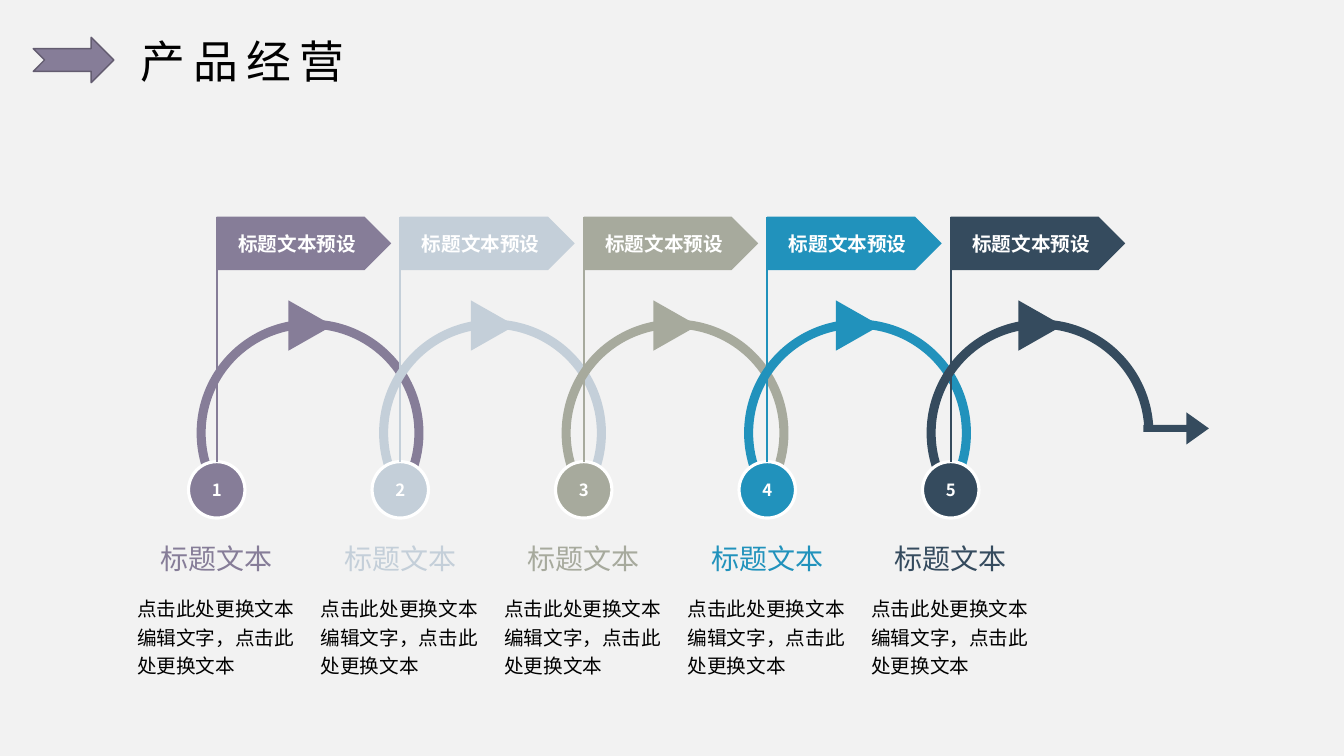
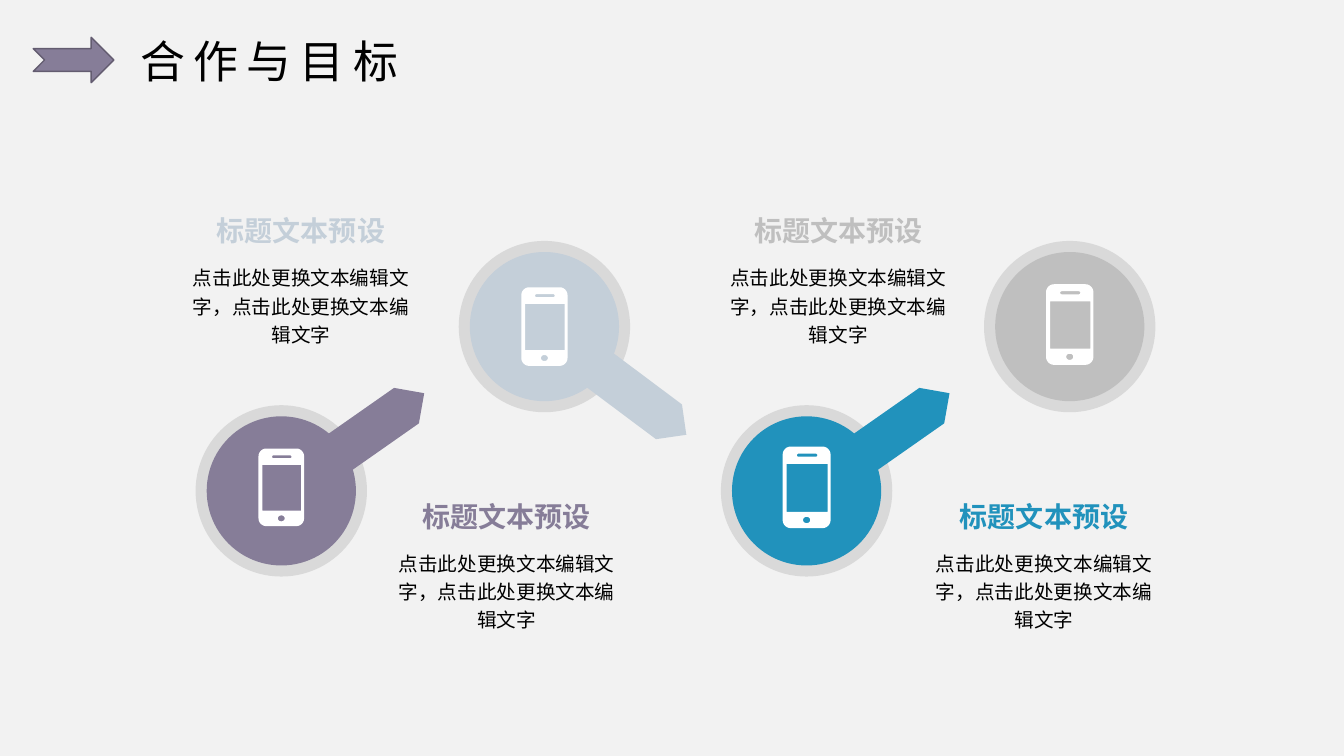
from dataclasses import dataclass
from math import cos, pi, sin

from lxml.etree import SubElement
from pptx import Presentation
from pptx.dml.color import RGBColor
from pptx.enum.shapes import MSO_CONNECTOR, MSO_SHAPE
from pptx.enum.text import MSO_ANCHOR, MSO_AUTO_SIZE, PP_ALIGN
from pptx.oxml.ns import qn
from pptx.util import Inches, Pt


@dataclass(frozen=True)
class Theme:
    font: str = "Noto Sans CJK SC"
    background: str = "F2F2F2"
    text: str = "000000"
    white: str = "FFFFFF"
    purple: str = "867D98"
    purple_edge: str = "635C70"
    pale_blue: str = "C4CFD9"
    olive: str = "A7AA9D"
    blue: str = "2192BC"
    navy: str = "354B5E"
    grey: str = "BFBFBF"
    ring: str = "D9D9D9"
    title_size: int = 32
    heading_size: int = 20
    body_size: int = 14
    number_size: int = 12


THEME = Theme()


def write_text(frame, text, size=THEME.body_size, color=THEME.text, bold=False,
               align=PP_ALIGN.CENTER, anchor=MSO_ANCHOR.MIDDLE, wrap=True,
               line_spacing=None, letter_spacing=0, inset=None):
    """Fill a text frame with one formatted paragraph; letter_spacing is in points."""
    frame.word_wrap = wrap
    frame.auto_size = MSO_AUTO_SIZE.NONE
    frame.vertical_anchor = anchor
    if inset is not None:
        frame.margin_left = frame.margin_right = Inches(inset)
        frame.margin_top = frame.margin_bottom = Inches(inset)
    para = frame.paragraphs[0]
    para.alignment = align
    if line_spacing:
        para.line_spacing = line_spacing
    span = para.add_run()
    span.text = text
    span.font.size = Pt(size)
    span.font.bold = bold
    span.font.color.rgb = RGBColor.from_string(color)
    span.font.name = THEME.font
    properties = span.font._element
    SubElement(properties, qn("a:ea")).set("typeface", THEME.font)
    if letter_spacing:
        properties.set("spc", str(letter_spacing * 100))


def rounded_outline(left, top, width, height, radius, steps=6):
    """Return the corner points of a rounded rectangle, clockwise from the right."""
    if not radius:
        right, bottom = left + width, top + height
        return [(right, bottom), (left, bottom), (left, top), (right, top)]
    centers = [(x, y) for x, y in (
        (left + width - radius, top + height - radius),
        (left + radius, top + height - radius),
        (left + radius, top + radius),
        (left + width - radius, top + radius))]
    points = []
    for corner, (x, y) in enumerate(centers):
        for step in range(steps + 1):
            angle = (corner + step / steps) * pi / 2
            points.append((x + radius * cos(angle), y + radius * sin(angle)))
    return points


class SlideBuilder:
    PHONE_WIDTH, PHONE_HEIGHT = 0.47, 0.8
    PHONE_PARTS = (
        (0, 0, 0.47, 0.8, 0.08),
        (0.04, 0.17, 0.4, 0.47, 0),
        (0.14, 0.07, 0.2, 0.03, 0.015),
        (0.2, 0.69, 0.07, 0.06, 0.03),
    )

    def __init__(self):
        self.deck = Presentation()
        self.deck.slide_width = Inches(13.33)
        self.deck.slide_height = Inches(7.5)
        fill = self.deck.slide_master.background.fill
        fill.solid()
        fill.fore_color.rgb = RGBColor.from_string(THEME.background)
        self.page = None

    def new_page(self, title):
        self.page = self.deck.slides.add_slide(self.deck.slide_layouts[5])
        self.shape(MSO_SHAPE.NOTCHED_RIGHT_ARROW, 0.33, 0.37, 0.8, 0.45,
                   THEME.purple, line=THEME.purple_edge, line_width=1)
        box = self.page.shapes.title
        box.left, box.top = Inches(1.29), Inches(0.28)
        box.width, box.height = Inches(3.97), Inches(0.64)
        write_text(box.text_frame, title, size=THEME.title_size, letter_spacing=6,
                   align=PP_ALIGN.LEFT, anchor=MSO_ANCHOR.TOP)

    def paint(self, shape, fill, line=None, line_width=1):
        shape.shadow.inherit = False
        shape.fill.solid()
        shape.fill.fore_color.rgb = RGBColor.from_string(fill)
        if line:
            shape.line.color.rgb = RGBColor.from_string(line)
            shape.line.width = Pt(line_width)
        else:
            shape.line.fill.background()

    def shape(self, kind, left, top, width, height, fill, line=None, line_width=1,
              rotation=0, adjustments=()):
        shape = self.page.shapes.add_shape(
            kind, Inches(left), Inches(top), Inches(width), Inches(height))
        self.paint(shape, fill, line, line_width)
        shape.rotation = rotation
        for index, value in enumerate(adjustments):
            shape.adjustments[index] = value
        return shape

    def vertical_line(self, x, top, bottom, color):
        line = self.page.shapes.add_connector(
            MSO_CONNECTOR.STRAIGHT, Inches(x), Inches(bottom), Inches(x), Inches(top))
        line.line.color.rgb = RGBColor.from_string(color)
        line.line.width = Pt(1.5)
        SubElement(line._element.spPr, qn("a:effectLst"))

    def text(self, text, left, top, width, height, **text_format):
        box = self.page.shapes.add_textbox(
            Inches(left), Inches(top), Inches(width), Inches(height))
        write_text(box.text_frame, text, inset=0, **text_format)

    def disc(self, center_x, center_y, diameter, fill, **style):
        return self.shape(MSO_SHAPE.OVAL, center_x - diameter / 2,
                          center_y - diameter / 2, diameter, diameter, fill, **style)

    def loop(self, left, color, end_angle):
        """Draw an open ring, ending at end_angle degrees, with an arrowhead on top."""
        degree = 0.6
        self.shape(MSO_SHAPE.BLOCK_ARC, left, 3.17, 2.25, 2.25, color,
                   adjustments=(150.6 * degree, end_angle * degree, 0.04))
        self.shape(MSO_SHAPE.ISOSCELES_TRIANGLE, left + 0.88, 3.01, 0.5, 0.44, color,
                   rotation=90)

    def flag(self, x, label, color):
        self.vertical_line(x, 2.15, 4.58, color)
        plate = self.shape(MSO_SHAPE.PENTAGON, x, 2.15, 1.73, 0.53, color)
        write_text(plate.text_frame, label, color=THEME.white, bold=True, wrap=False)

    def phone(self, center_x, top, height):
        """Draw a phone whose screen, speaker and button are cut out."""
        scale = height / self.PHONE_HEIGHT
        left = center_x - self.PHONE_WIDTH * scale / 2
        builder = None
        for part in self.PHONE_PARTS:
            points = [(Inches(left + x * scale), Inches(top + y * scale))
                      for x, y in rounded_outline(*part)]
            if builder is None:
                builder = self.page.shapes.build_freeform(*points[0])
            else:
                builder.move_to(*points[0])
            builder.add_line_segments(points[1:], close=True)
        self.paint(builder.convert_to_shape(), THEME.white)


def build_operations(slides):
    slides.new_page("产品经营")
    colors = (THEME.purple, THEME.pale_blue, THEME.olive, THEME.blue, THEME.navy)
    for index, color in enumerate(colors):
        is_last = index == len(colors) - 1
        slides.loop(1.95 + 1.81 * index, color, end_angle=357.3 if is_last else 29)
    slides.shape(MSO_SHAPE.RIGHT_ARROW, 11.34, 4.09, 0.65, 0.32, THEME.navy,
                 adjustments=(0.22, 0.7))

    for index, color in enumerate(colors):
        center_x = 2.15 + 1.82 * index
        text_left = center_x - 0.79
        badge = slides.disc(center_x, 4.86, 0.56, color,
                            line=THEME.white, line_width=2.25)
        write_text(badge.text_frame, str(index + 1), size=THEME.number_size,
                   color=THEME.white, bold=True, wrap=False)
        slides.flag(center_x, "标题文本预设", color)
        slides.text("标题文本", text_left, 5.31, 1.58, 0.46,
                    size=THEME.heading_size, color=color)
        slides.text("点击此处更换文本编辑文字，点击此处更换文本", text_left, 5.92, 1.58, 0.76,
                    align=PP_ALIGN.LEFT, line_spacing=1.2)


def build_goals(slides):
    slides.new_page("合作与目标")
    upper, lower = 3.24, 4.87
    rising, falling = (-0.01, 325), (1.37, 36.8)
    # color, disc center, handle (offset and turn), phone (top and height), caption
    goals = (
        (THEME.purple, (2.79, lower), rising, (4.45, 0.77), (3.92, 4.94)),
        (THEME.pale_blue, (5.4, upper), falling, (2.85, 0.78), (1.88, 2.11)),
        (THEME.blue, (8, lower), rising, (4.43, 0.81), (9.25, 4.94)),
        (THEME.grey, (10.61, upper), None, (2.82, 0.8), (7.21, 2.11)),
    )
    for color, (center_x, center_y), handle, phone, (left, top) in goals:
        slides.disc(center_x, center_y, 1.7, THEME.ring)
        slides.disc(center_x, center_y, 1.48, color)
        if handle:
            offset, rotation = handle
            slides.shape(MSO_SHAPE.PENTAGON, center_x + 0.39, center_y - 0.85 + offset,
                         1.13, 0.43, color, rotation=rotation)
        slides.phone(center_x, *phone)
        slides.text("标题文本预设", left, top, 2.21, 0.36,
                    size=THEME.heading_size, color=color, bold=True)
        slides.text("点击此处更换文本编辑文字，点击此处更换文本编辑文字",
                    left, top + 0.56, 2.21, 0.69, line_spacing=1.2)


def main():
    slides = SlideBuilder()
    build_operations(slides)
    build_goals(slides)
    slides.deck.save("out.pptx")


if __name__ == "__main__":
    main()
